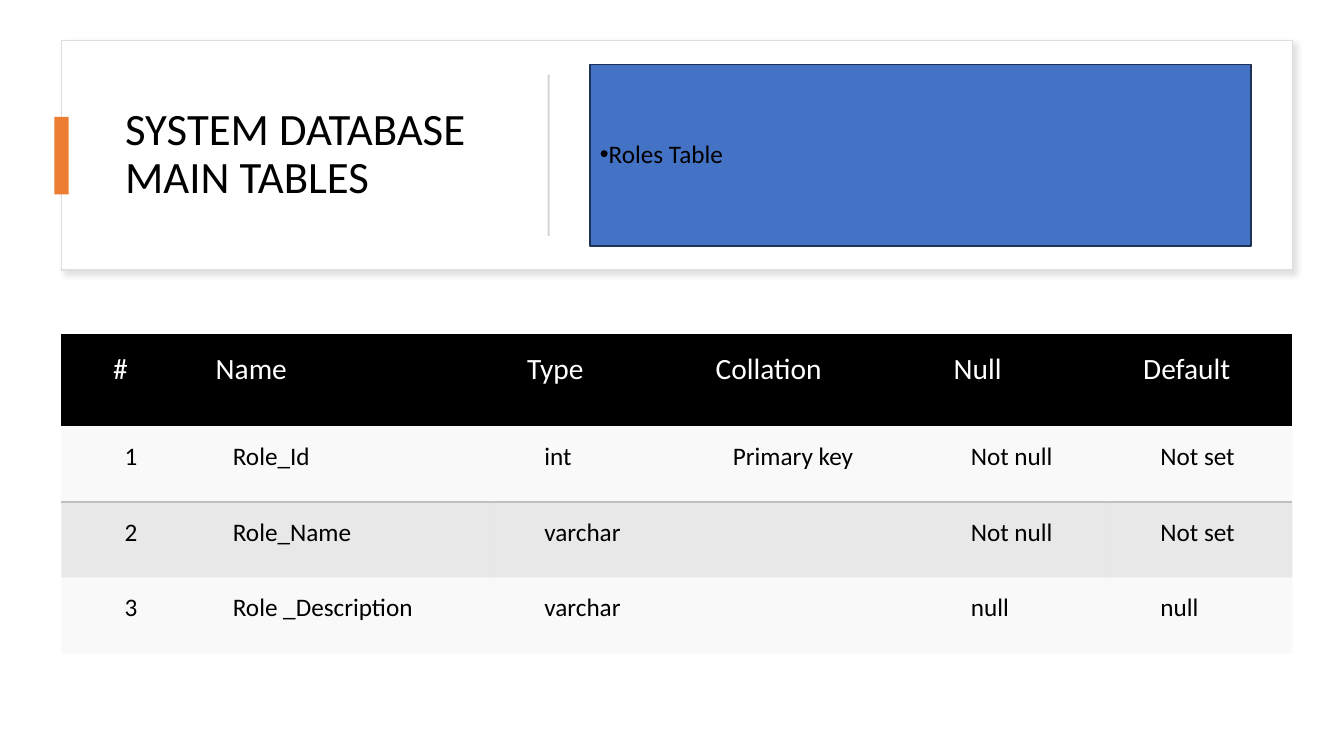
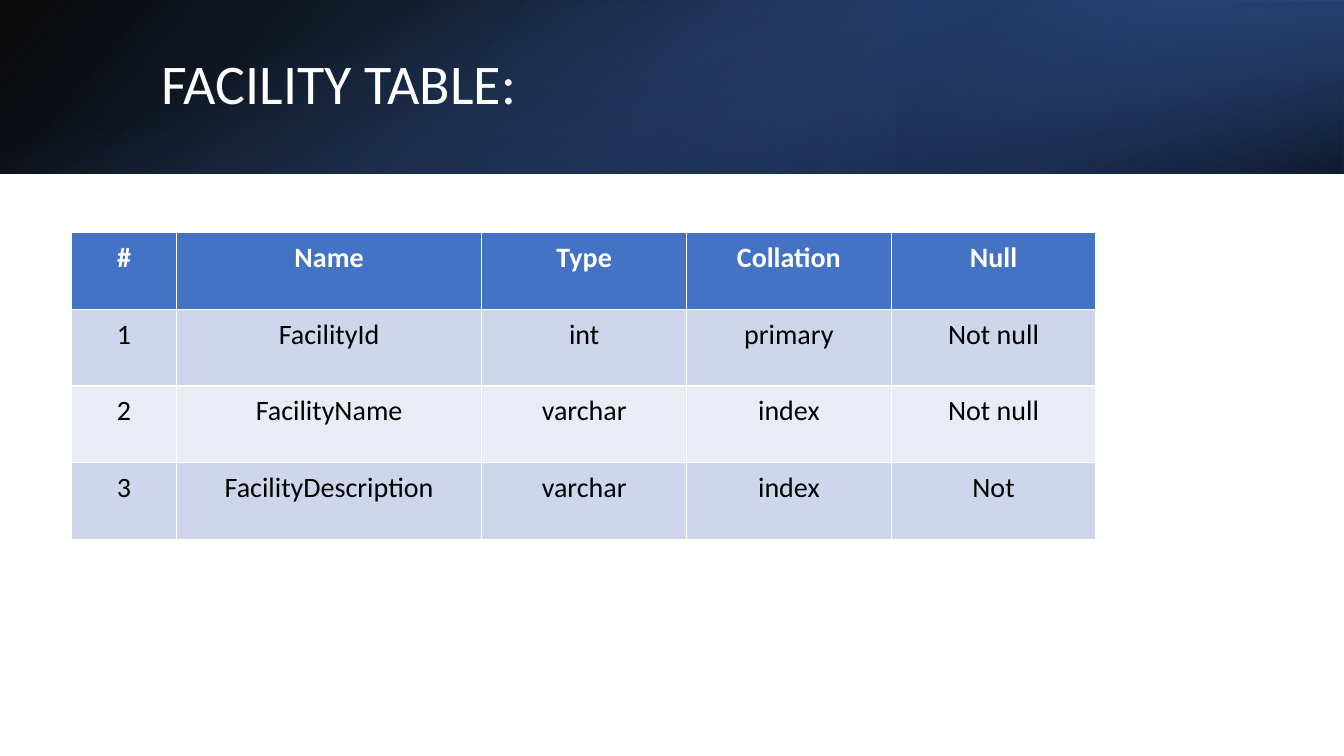
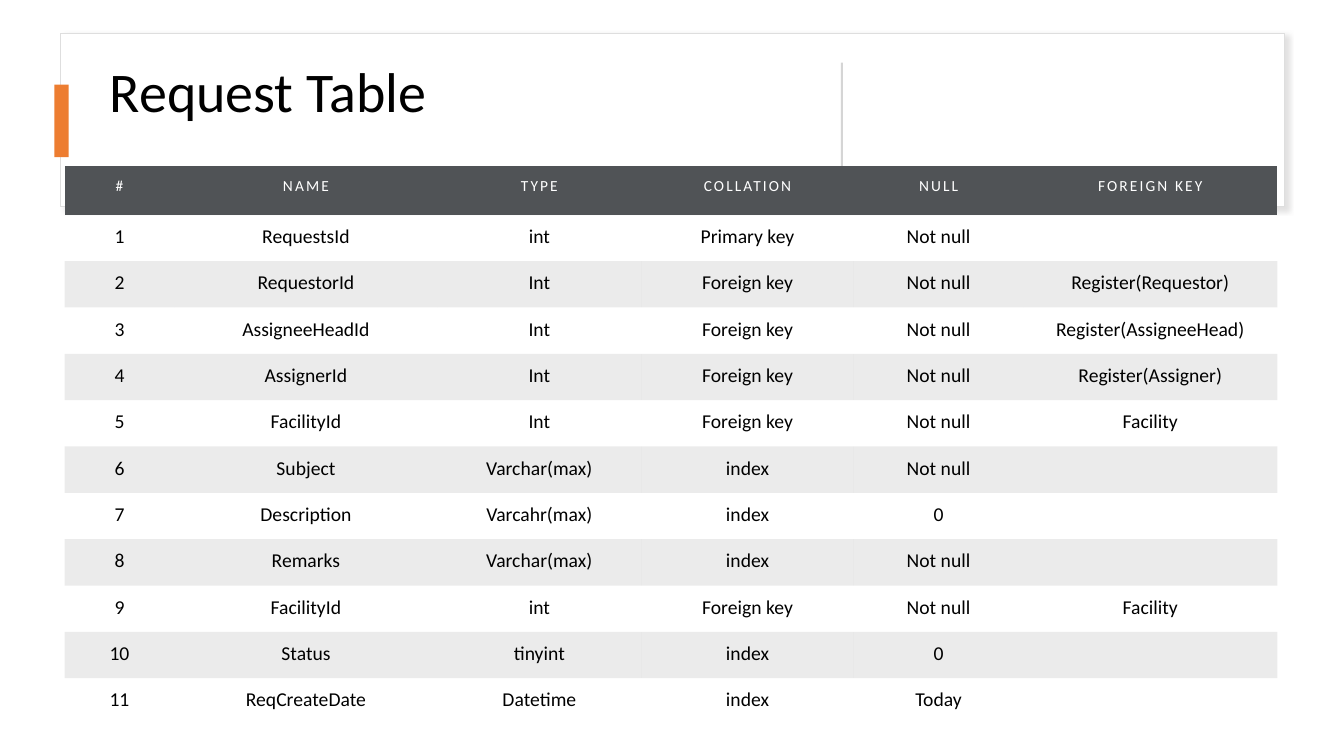
from dataclasses import dataclass

from lxml.etree import SubElement
from pptx import Presentation
from pptx.dml.color import RGBColor
from pptx.enum.shapes import MSO_SHAPE
from pptx.enum.text import MSO_ANCHOR, MSO_AUTO_SIZE, PP_ALIGN
from pptx.oxml import parse_xml
from pptx.oxml.ns import nsdecls, qn
from pptx.util import Inches, Pt

FONT = "Calibri"
BLACK = RGBColor(0x00, 0x00, 0x00)
WHITE = RGBColor(0xFF, 0xFF, 0xFF)
ORANGE = RGBColor(0xED, 0x7D, 0x31)
BLUE = RGBColor(0x44, 0x72, 0xC4)
MID_BLUE = RGBColor(0x2F, 0x55, 0x97)
NAVY = RGBColor(0x20, 0x38, 0x64)
NAVY_LINE = RGBColor(0x1E, 0x32, 0x56)
CARD_LINE = RGBColor(0xDE, 0xDE, 0xDE)
CARD_SHADOW = RGBColor(0xC5, 0xC3, 0xC3)
DIVIDER = RGBColor(0xD5, 0xD5, 0xD5)
SLATE = RGBColor(0x50, 0x53, 0x56)
PALE_GREY = RGBColor(0xF2, 0xF2, 0xF2)
GREY = RGBColor(0xBF, 0xBF, 0xBF)
BAND_DARK = RGBColor(0xCF, 0xD5, 0xEA)
BAND_LIGHT = RGBColor(0xE9, 0xEB, 0xF5)

NO_GRID = "{2D5ABB26-0587-4C30-8999-92F81FD0307C}"
WHITE_GRID = "{5C22544A-7EE6-4342-B048-85BDC9FD1C3A}"
TITLE_AND_BODY, TITLE_ONLY = 1, 5


@dataclass(frozen=True)
class Box:
    left: float
    top: float
    width: float
    height: float

    def lengths(self) -> tuple:
        return tuple(Inches(v) for v in (self.left, self.top, self.width, self.height))


@dataclass(frozen=True)
class Fill:
    color: RGBColor
    alpha: int = 100


@dataclass(frozen=True)
class Stop:
    pos: int
    color: RGBColor
    alpha: int = 100


@dataclass(frozen=True)
class Sheen:
    """One gradient layer of the banner."""
    box: Box
    stops: tuple
    angle: int
    rotation: int = 0
    flip: bool = False


@dataclass(frozen=True)
class CellStyle:
    size: int
    color: RGBColor
    margins: tuple  # left, top, right, bottom
    bold: bool = False
    anchor: MSO_ANCHOR = MSO_ANCHOR.TOP
    tracking: float = 0


@dataclass(frozen=True)
class TableStyle:
    style_id: str
    head: CellStyle
    body: CellStyle
    head_fill: Fill
    bands: tuple  # fills of odd and even body rows, None for no fill
    centred: bool = True  # False centres the first column only
    ruled_row: int = -1  # row with a rule below it


def plain_rect(slide, box: Box, color: RGBColor, rotation: int = 0):
    sp = slide.shapes.add_shape(MSO_SHAPE.RECTANGLE, *box.lengths())
    sp.shadow.inherit = False
    sp.fill.solid()
    sp.fill.fore_color.rgb = color
    sp.line.fill.background()
    sp.rotation = rotation
    return sp


def set_title(slide, text: str, box: Box, size: int, color: RGBColor) -> None:
    title = slide.shapes.title
    slide.shapes._spTree.append(title._element)  # bring in front of the banner
    place_text(title, text, box, size, color)


def place_text(sp, text: str, box: Box, size: int, color: RGBColor):
    """Fill a placeholder with one left-aligned paragraph."""
    sp.left, sp.top, sp.width, sp.height = box.lengths()
    tf = sp.text_frame
    tf.text = text
    tf.word_wrap = True
    tf.auto_size = MSO_AUTO_SIZE.NONE
    tf.vertical_anchor = MSO_ANCHOR.MIDDLE
    p = tf.paragraphs[0]
    p.alignment = PP_ALIGN.LEFT
    p.line_spacing = 0.9
    p.space_before = Pt(0)
    p.font.name, p.font.size = FONT, Pt(size)
    p.font.color.rgb = color
    return p


def draw_card(slide, card: Box, tab: Box, divider: Box) -> None:
    """Shadowed title card with an orange tab and an upright divider."""
    sp = plain_rect(slide, card, WHITE)
    sp.line.color.rgb = CARD_LINE
    sp.line.width = Pt(1)
    effects = sp._element.spPr.find(qn("a:effectLst"))
    shadow = SubElement(effects, qn("a:outerShdw"), blurRad=str(Pt(4)),
                        dist=str(Pt(3)), dir=str(45 * 60000), algn="tl", rotWithShape="0")
    color = SubElement(shadow, qn("a:srgbClr"), val=str(CARD_SHADOW))
    SubElement(color, qn("a:alpha"), val="50000")
    plain_rect(slide, tab, ORANGE)
    plain_rect(slide, divider, DIVIDER, rotation=90)


def draw_sheen(slide, sheen: Sheen) -> None:
    sp = plain_rect(slide, sheen.box, WHITE, sheen.rotation)
    spPr = sp._element.spPr
    if sheen.flip:
        spPr.find(qn("a:xfrm")).set("flipH", "1")
    stops = "".join(
        f'<a:gs pos="{s.pos * 1000}"><a:srgbClr val="{s.color}">'
        f'<a:alpha val="{s.alpha * 1000}"/></a:srgbClr></a:gs>' for s in sheen.stops)
    gradient = parse_xml(
        f'<a:gradFill {nsdecls("a")} rotWithShape="1"><a:gsLst>{stops}</a:gsLst>'
        f'<a:lin ang="{sheen.angle * 60000}" scaled="0"/></a:gradFill>')
    spPr.replace(spPr.find(qn("a:solidFill")), gradient)


def fill_cell(cell, fill: Fill | None) -> None:
    if fill is None:
        cell.fill.background()
        return
    cell.fill.solid()
    cell.fill.fore_color.rgb = fill.color
    if fill.alpha < 100:
        color = cell._tc.tcPr.find(qn("a:solidFill"))[0]
        SubElement(color, qn("a:alpha"), val=str(fill.alpha * 1000))


def rule_below(cell) -> None:
    cell._tc.get_or_add_tcPr().insert(0, parse_xml(
        f'<a:lnB {nsdecls("a")} w="{Pt(1)}"><a:solidFill><a:srgbClr val="{GREY}"/>'
        f'</a:solidFill></a:lnB>'))


def write_cell(cell, text: str, style: CellStyle, centred: bool) -> None:
    (cell.margin_left, cell.margin_top,
     cell.margin_right, cell.margin_bottom) = (Inches(m) for m in style.margins)
    cell.vertical_anchor = style.anchor
    cell.text = text
    p = cell.text_frame.paragraphs[0]
    p.alignment = PP_ALIGN.CENTER if centred else PP_ALIGN.LEFT
    p.font.name, p.font.size, p.font.bold = FONT, Pt(style.size), style.bold
    p.font.color.rgb = style.color
    if style.tracking:
        for r in p.runs:
            r._r.get_or_add_rPr().set("spc", str(int(style.tracking * 100)))


def draw_table(slide, left: float, top: float, widths: tuple, head_height: float,
               row_height: float, rows: list, style: TableStyle) -> None:
    heights = [head_height] + [row_height] * (len(rows) - 1)
    box = Box(left, top, sum(widths), sum(heights))
    table = slide.shapes.add_table(len(rows), len(widths), *box.lengths()).table
    table._tbl.tblPr.find(qn("a:tableStyleId")).text = style.style_id
    for column, width in zip(table.columns, widths):
        column.width = Inches(width)
    for i, (row, height, texts) in enumerate(zip(table.rows, heights, rows)):
        row.height = Inches(height)
        fill = style.bands[(i - 1) % 2] if i else style.head_fill
        for j, (cell, text) in enumerate(zip(row.cells, texts)):
            write_cell(cell, text, style.body if i else style.head, style.centred or j == 0)
            fill_cell(cell, fill)
            if i == style.ruled_row:
                rule_below(cell)


ROLES_STYLE = TableStyle(
    NO_GRID,
    CellStyle(21, WHITE, (0.36, 0.15, 0.36, 0.36), anchor=MSO_ANCHOR.MIDDLE),
    CellStyle(18, BLACK, (0.53, 0.15, 0.32, 0.24)),
    Fill(BLACK), (Fill(PALE_GREY, 45), Fill(GREY, 35)), centred=False, ruled_row=1)
FACILITY_STYLE = TableStyle(
    WHITE_GRID,
    CellStyle(20, WHITE, (0.15, 0.08, 0.15, 0.08), bold=True),
    CellStyle(20, BLACK, (0.15, 0.08, 0.15, 0.08)),
    Fill(BLUE), (Fill(BAND_DARK), Fill(BAND_LIGHT)))
REQUEST_STYLE = TableStyle(
    NO_GRID,
    CellStyle(11, WHITE, (0.1,) * 4, tracking=1.5),
    CellStyle(14, BLACK, (0.1,) * 4),
    Fill(SLATE), (None, Fill(BLACK, 8)))

BANNER = (
    Sheen(Box(0, 0, 13.33, 1.72), (Stop(0, BLACK, 96), Stop(100, MID_BLUE)), 140, flip=True),
    Sheen(Box(8.89, 0, 4.44, 1.72), (Stop(19, NAVY, 68), Stop(100, BLUE, 79)), 320, 180, True),
    Sheen(Box(5.8, -5.8, 1.72, 13.33), (Stop(23, BLUE, 0), Stop(99, BLACK, 74)), 340, 90),
)

ROLES = [
    ("#", "Name", "Type", "Collation", "Null", "Default"),
    ("1", "Role_Id", "int", "Primary key", "Not null", "Not set"),
    ("2", "Role_Name", "varchar", "", "Not null", "Not set"),
    ("3", "Role _Description", "varchar", "", "null", "null"),
]
FACILITIES = [
    ("#", "Name", "Type", "Collation", "Null"),
    ("1", "FacilityId", "int", "primary", "Not null"),
    ("2", "FacilityName", "varchar", "index", "Not null"),
    ("3", "FacilityDescription", "varchar", "index", "Not"),
]
REQUESTS = [
    ("#", "NAME", "TYPE", "COLLATION", "NULL", "FOREIGN KEY"),
    ("1", "RequestsId", "int", "Primary key", "Not null", ""),
    ("2", "RequestorId", "Int", "Foreign key", "Not null", "Register(Requestor)"),
    ("3", "AssigneeHeadId", "Int", "Foreign key", "Not null", "Register(AssigneeHead)"),
    ("4", "AssignerId", "Int", "Foreign key", "Not null", "Register(Assigner)"),
    ("5", "FacilityId", "Int", "Foreign key", "Not null", "Facility"),
    ("6", "Subject", "Varchar(max)", "index", "Not null", ""),
    ("7", "Description", "Varcahr(max)", "index", "0", ""),
    ("8", "Remarks", "Varchar(max)", "index", "Not null", ""),
    ("9", "FacilityId", "int", "Foreign key", "Not null", "Facility"),
    ("10", "Status", "tinyint", "index", "0", ""),
    ("11", "ReqCreateDate", "Datetime", "index", "Today", ""),
]


def roles_slide(prs) -> None:
    slide = prs.slides.add_slide(prs.slide_layouts[TITLE_AND_BODY])
    body = slide.placeholders[1]
    draw_card(slide, Box(0.61, 0.4, 12.21, 2.28), Box(0.54, 1.16, 0.14, 0.77),
              Box(4.64, 1.53, 1.6, 0.02))
    set_title(slide, "SYSTEM DATABASE MAIN TABLES", Box(1.14, 0.64, 3.89, 1.8), 32, BLACK)
    # Blue list box
    slide.shapes._spTree.append(body._element)
    p = place_text(body, "Roles Table", Box(5.85, 0.64, 6.56, 1.8), 18, BLACK)
    p.space_after = Pt(6)
    pPr = p._p.get_or_add_pPr()
    pPr.set("marL", "0")
    pPr.set("indent", str(Inches(-0.25)))
    body.fill.solid()
    body.fill.fore_color.rgb = BLUE
    body.line.color.rgb = NAVY_LINE
    body.line.width = Pt(1)
    draw_table(slide, 0.61, 3.31, (1.17, 3.09, 1.87, 2.36, 1.88, 1.84), 0.92, 0.75,
               ROLES, ROLES_STYLE)


def facility_slide(prs) -> None:
    slide = prs.slides.add_slide(prs.slide_layouts[TITLE_ONLY])
    for sheen in BANNER:
        draw_sheen(slide, sheen)
    set_title(slide, "FACILITY TABLE:", Box(1.5, 0.38, 6.64, 0.96), 40, WHITE)
    draw_table(slide, 0.71, 2.31, (1.04, 3.03, 2.03, 2.03, 2.03), 0.76, 0.76,
               FACILITIES, FACILITY_STYLE)


def request_slide(prs) -> None:
    slide = prs.slides.add_slide(prs.slide_layouts[TITLE_ONLY])
    draw_card(slide, Box(0.6, 0.33, 12.14, 1.72), Box(0.54, 0.84, 0.14, 0.72),
              Box(7.79, 1.17, 1.12, 0.02))
    set_title(slide, "Request Table", Box(0.99, 0.44, 7.03, 1), 40, BLACK)
    draw_table(slide, 0.64, 1.65, (1.09, 2.61, 2.02, 2.11, 1.68, 2.52), 0.48, 0.46,
               REQUESTS, REQUEST_STYLE)


def main() -> None:
    prs = Presentation()
    prs.slide_width, prs.slide_height = Inches(13.33), Inches(7.5)
    roles_slide(prs)
    facility_slide(prs)
    request_slide(prs)
    prs.save("out.pptx")


if __name__ == "__main__":
    main()
